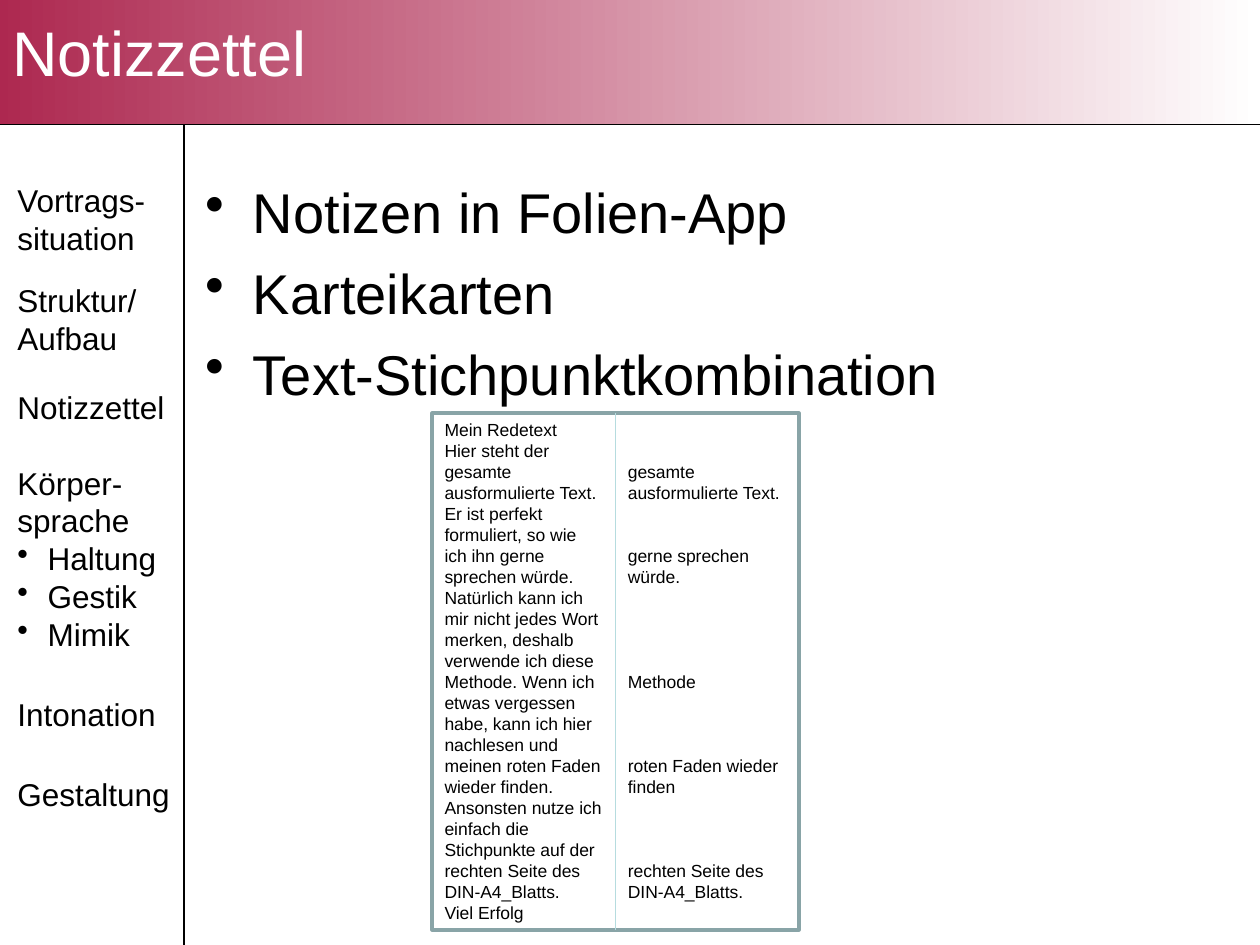
from lxml import etree
from pptx import Presentation
from pptx.dml.color import RGBColor
from pptx.enum.shapes import MSO_CONNECTOR, MSO_SHAPE
from pptx.enum.text import MSO_ANCHOR
from pptx.oxml.ns import qn
from pptx.util import Inches, Pt

STRAIGHT, RECTANGLE = MSO_CONNECTOR.STRAIGHT, MSO_SHAPE.RECTANGLE
TOP, MIDDLE = MSO_ANCHOR.TOP, MSO_ANCHOR.MIDDLE
BLACK = RGBColor(0x00, 0x00, 0x00)
WHITE = RGBColor(0xFF, 0xFF, 0xFF)
CRIMSON = RGBColor(0xAC, 0x26, 0x4E)
CARD_EDGE = RGBColor(0x89, 0xA4, 0xA7)
CARD_FOLD = RGBColor(0xB6, 0xDC, 0xDF)
FONT = "Arial"

# Content
TITLE = "Notizzettel"
AGENDA = [  # top, height, heading, bulleted sub-items
    (1.39, 0.7, "Vortrags-situation", []),
    (2.18, 0.7, "Struktur/ Aufbau", []),
    (3.03, 0.4, "Notizzettel", []),
    (3.63, 1.6, "Körper-sprache", ["Haltung", "Gestik", "Mimik"]),
    (5.47, 0.4, "Intonation", []),
    (6.1, 0.4, "Gestaltung", []),
]
METHODS = ["Notizen in Folien-App", "Karteikarten", "Text-Stichpunktkombination"]
SPEECH = [
    "Mein Redetext",
    "Hier steht der gesamte ausformulierte Text. Er ist perfekt formuliert, "
    "so wie ich ihn gerne sprechen würde. Natürlich kann ich mir nicht jedes "
    "Wort merken, deshalb verwende ich diese Methode. Wenn ich etwas vergessen "
    "habe, kann ich hier nachlesen und meinen roten Faden wieder finden. "
    "Ansonsten nutze ich einfach die Stichpunkte auf der rechten Seite des "
    "DIN-A4_Blatts.",
    "Viel Erfolg",
]
KEYWORDS = [  # lines of the speech skipped before the keyword, keyword
    (2, "gesamte ausformulierte Text."),
    (2, "gerne sprechen würde."),
    (4, "Methode"),
    (3, "roten Faden wieder finden"),
    (3, "rechten Seite des DIN-A4_Blatts."),
]

# Layout in inches
HEADER_BOTTOM = 0.99
SIDEBAR_LEFT, SIDEBAR_WIDTH, SIDEBAR_EDGE = 0.04, 1.5, 1.46
CARD_LEFT, CARD_TOP, CARD_WIDTH, CARD_HEIGHT = 3.43, 3.28, 2.91, 4.1
COLUMN_WIDTH = CARD_WIDTH / 2

# Type in points
LINE_FACTOR = 1.2
NOTE_SIZE = 10
NOTE_LINE = NOTE_SIZE * LINE_FACTOR

prs = Presentation()
prs.slide_width, prs.slide_height = Inches(10), Inches(7.5)
slide = prs.slides.add_slide(prs.slide_layouts[6])


def add_text(paragraphs, left, top, width, height, size=18, color=BLACK,
             anchor=TOP, bullets_from=None, indent=0.24, gaps=None):
    box = slide.shapes.add_textbox(*map(Inches, (left, top, width, height)))
    frame = box.text_frame
    frame.word_wrap = True
    frame.vertical_anchor = anchor
    for i, text in enumerate(paragraphs):
        para = frame.paragraphs[0] if i == 0 else frame.add_paragraph()
        if bullets_from is not None and i >= bullets_from:
            props = para._p.get_or_add_pPr()
            props.set("marL", str(Inches(indent)))
            props.set("indent", str(-Inches(indent)))
            etree.SubElement(props, qn("a:buChar")).set("char", "•")
        para.line_spacing = Pt(size * LINE_FACTOR)
        if gaps and i > 0:
            para.space_before = Pt(gaps[i])
        run = para.add_run()
        run.text = text
        run.font.name, run.font.size, run.font.color.rgb = FONT, Pt(size), color


def add_line(x1, y1, x2, y2, color=BLACK):
    line = slide.shapes.add_connector(STRAIGHT, *map(Inches, (x1, y1, x2, y2)))
    line.line.color.rgb, line.line.width = color, Pt(0.75)
    etree.SubElement(line._element.spPr, qn("a:effectLst"))
    return line


def add_rectangle(left, top, width, height, edge, edge_width):
    rect = slide.shapes.add_shape(
        RECTANGLE, *map(Inches, (left, top, width, height)))
    rect.shadow.inherit = False
    rect.line.color.rgb, rect.line.width = edge, Pt(edge_width)
    return rect


# Header band
header = add_rectangle(-0.12, -0.11, 10.12, 1.1, WHITE, 0.75)
header.fill.gradient()
header.fill.gradient_angle = 0
for stop, color in zip(header.fill.gradient_stops, (CRIMSON, WHITE)):
    stop.color.rgb = color
add_line(0, HEADER_BOTTOM, 10, HEADER_BOTTOM)
add_text([TITLE], 0, 0.06, 10, 0.7, size=36, color=WHITE, anchor=MIDDLE)

# Sidebar agenda
for top, height, heading, items in AGENDA:
    add_text([heading, *items], SIDEBAR_LEFT, top, SIDEBAR_WIDTH, height,
             bullets_from=1)
add_line(SIDEBAR_EDGE, HEADER_BOTTOM, SIDEBAR_EDGE, 7.5)

# Main bullets
add_text(METHODS, 1.53, 1.36, 8.27, 6.02, size=32, bullets_from=0, indent=0.38,
         gaps=[8] * len(METHODS))

# Sample note card: full text left, keywords level with it on the right
card = add_rectangle(CARD_LEFT, CARD_TOP, CARD_WIDTH, CARD_HEIGHT, CARD_EDGE, 2)
card.fill.background()
fold_x = CARD_LEFT + COLUMN_WIDTH
fold = add_line(fold_x, CARD_TOP, fold_x, CARD_TOP + CARD_HEIGHT, CARD_FOLD)
fold.begin_connect(card, 0)
fold.end_connect(card, 2)
add_text(SPEECH, CARD_LEFT, CARD_TOP, COLUMN_WIDTH, CARD_HEIGHT, size=NOTE_SIZE)
skips = [lines * NOTE_LINE for lines, _ in KEYWORDS]
offset = skips[0] / 72
add_text([keyword for _, keyword in KEYWORDS], fold_x, CARD_TOP + offset,
         COLUMN_WIDTH, CARD_HEIGHT - offset, size=NOTE_SIZE, gaps=skips)

prs.save("out.pptx")
